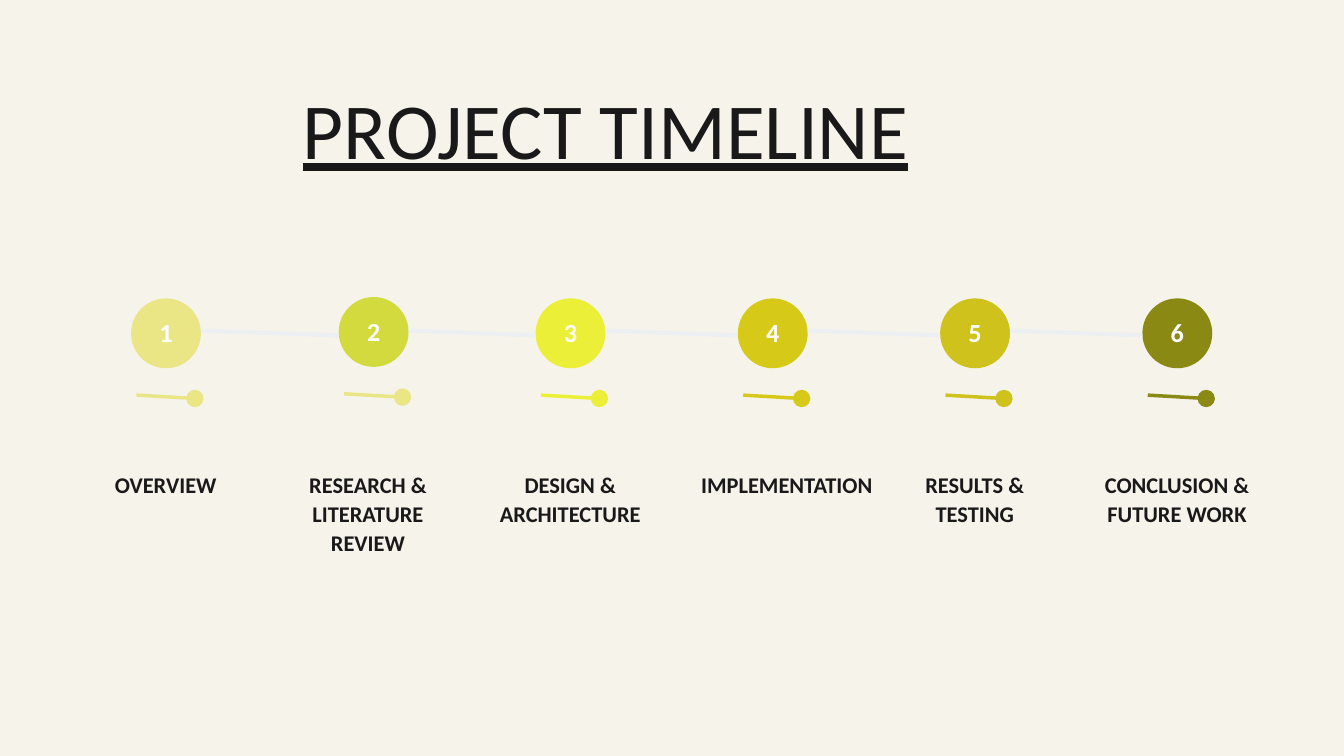
from dataclasses import dataclass

import pptx
import pptx.dml.color
import pptx.enum.shapes
import pptx.enum.text
import pptx.oxml
import pptx.oxml.ns
import pptx.util
from pptx.util import Inches


@dataclass(frozen=True)
class Theme:
    background: str = "F6F3EB"
    ink: str = "191919"
    number: str = "FFFFFF"
    track: str = "EDF0F2"
    font: str = "Calibri"
    title_size: int = 85
    label_size: int = 24
    number_size: int = 28
    track_width: float = 4.5
    pin_width: float = 3.75


def rgb(value):
    return pptx.dml.color.RGBColor.from_string(value)


class TimelineSlide:
    def __init__(self, slide, theme):
        self.slide = slide
        self.theme = theme
        slide.background.fill.solid()
        slide.background.fill.fore_color.rgb = rgb(theme.background)

    def text(self, words, left, top, width, height, size, leading, color,
             bold=False, underline=False, middle=False):
        box = self.slide.shapes.add_textbox(
            Inches(left), Inches(top), Inches(width), Inches(height))
        frame = box.text_frame
        frame.word_wrap = True
        frame.margin_left = frame.margin_right = 0
        frame.margin_top = frame.margin_bottom = 0
        anchors = pptx.enum.text.MSO_ANCHOR
        frame.vertical_anchor = anchors.MIDDLE if middle else anchors.TOP
        frame.text = words
        paragraph = frame.paragraphs[0]
        paragraph.alignment = pptx.enum.text.PP_ALIGN.CENTER
        paragraph.line_spacing = pptx.util.Pt(leading)
        font = paragraph.runs[0].font
        font.name = self.theme.font
        font.size = pptx.util.Pt(size)
        font.bold = bold
        font.underline = underline
        font.color.rgb = rgb(color)

    def circle(self, left, top, diameter, color):
        circle = self.slide.shapes.add_shape(
            pptx.enum.shapes.MSO_SHAPE.OVAL, Inches(left), Inches(top),
            Inches(diameter), Inches(diameter))
        circle.shadow.inherit = False
        circle.fill.solid()
        circle.fill.fore_color.rgb = rgb(color)
        circle.line.fill.background()

    def line(self, x1, y1, x2, y2, color, width, dot=False):
        line = self.slide.shapes.add_connector(
            pptx.enum.shapes.MSO_CONNECTOR.STRAIGHT,
            Inches(x1), Inches(y1), Inches(x2), Inches(y2))
        line.line.color.rgb = rgb(color)
        line.line.width = pptx.util.Pt(width)
        if dot:
            tail = pptx.oxml.parse_xml(
                f'<a:tailEnd {pptx.oxml.ns.nsdecls("a")} type="oval" w="lg" len="lg"/>')
            line.line._get_or_add_ln().append(tail)
        properties = line._element.spPr
        properties.append(pptx.oxml.parse_xml(
            f'<a:effectLst {pptx.oxml.ns.nsdecls("a")}/>'))


# Label, circle colour, pin colour, label width and height
STAGES = [
    ("OVERVIEW", "EAE686", "EAE686", 2.69, 0.42),
    ("RESEARCH & LITERATURE REVIEW", "D2DA3E", "EAE686", 2.69, 1.28),
    ("DESIGN & ARCHITECTURE", "EBEF37", "EBEF37", 2.69, 0.85),
    ("IMPLEMENTATION ", "D6C918", "D6C918", 3.19, 0.42),
    ("RESULTS & TESTING", "CFC21C", "CFC21C", 2.69, 0.84),
    ("CONCLUSION & FUTURE WORK", "8A8913", "8A8913", 2.69, 0.85),
]
STEP = 3.01
DIAMETER = 1.04
# The second stage sits slightly off the grid
NUDGES = {1: (0.08, -0.02)}


def main():
    theme = Theme()
    presentation = pptx.Presentation()
    presentation.slide_width = Inches(20)
    presentation.slide_height = Inches(11.25)
    timeline = TimelineSlide(
        presentation.slides.add_slide(presentation.slide_layouts[6]), theme)

    # Title
    timeline.text("PROJECT TIMELINE", 4.39, 0.95, 9.24, 1.59,
                  theme.title_size, 119, theme.ink, underline=True)

    # Stages: numbered circle, pin and label
    circle_lefts = []
    for index, (label, color, pin_color, width, height) in enumerate(STAGES):
        shift, lift = NUDGES.get(index, (0, 0))
        left = 1.95 + index * STEP + shift
        top = 4.44 + lift
        circle_lefts.append(left)
        timeline.circle(left, top, DIAMETER, color)
        timeline.text(str(index + 1), left + 0.1, top - 0.01, 0.84, 0.95,
                      theme.number_size, 39.2, theme.number,
                      bold=True, middle=True)
        timeline.line(left + 0.08, top + 1.44, left + 0.95, top + 1.49,
                      pin_color, theme.pin_width, dot=True)
        timeline.text(label, 1.12 + index * STEP, 6.97, width, height,
                      theme.label_size, 31.2, theme.ink, bold=True)

    # Track between neighbouring circles
    for left, following in zip(circle_lefts, circle_lefts[1:]):
        timeline.line(left + DIAMETER, 4.92, following, 4.99,
                      theme.track, theme.track_width)

    presentation.save("out.pptx")


if __name__ == "__main__":
    main()
